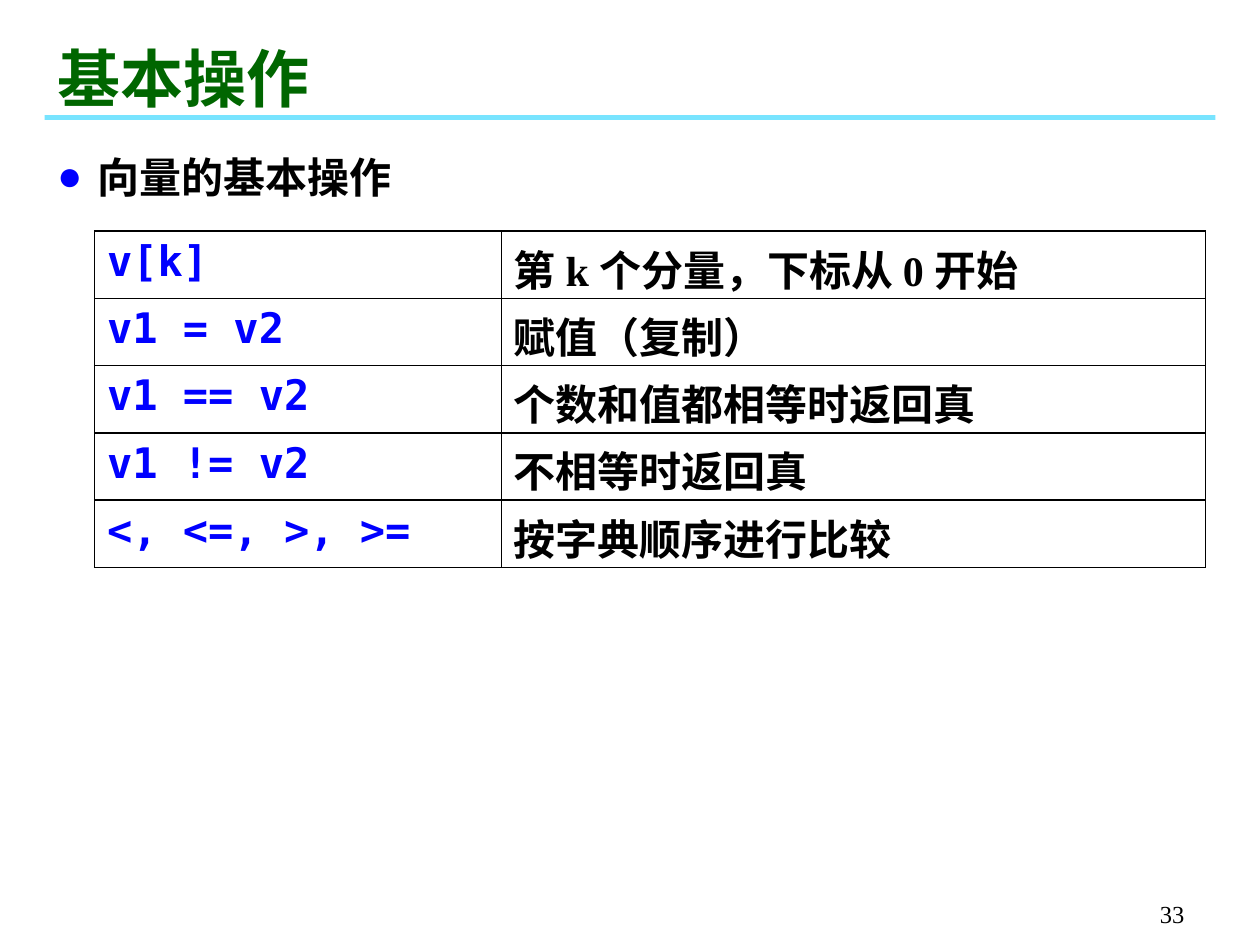
"""Build the slide on basic vector operations."""
import pptx
import pptx.util
import pptx.dml.color
import pptx.enum.text
import pptx.enum.shapes
import pptx.oxml
import pptx.oxml.ns

Pt = pptx.util.Pt
RGB = pptx.dml.color.RGBColor
Anchor = pptx.enum.text.MSO_ANCHOR
Align = pptx.enum.text.PP_ALIGN
NS = pptx.oxml.ns.nsdecls("a")
BLACK = RGB(0, 0, 0)
BLUE = RGB(0, 0, 255)
GREEN = RGB(0, 0x66, 0)
CYAN = RGB(0, 0xCC, 255)
SERIF = "Times New Roman"
MONO = "DejaVu Sans Mono"


def style(para, size, name, color, bold=True):
    para.font.size = Pt(size)
    para.font.name = name
    para.font.color.rgb = color
    para.font.bold = bold


def place(shape, left, top, width, height, anchor):
    shape.left, shape.top = Pt(left), Pt(top)
    shape.width, shape.height = Pt(width), Pt(height)
    frame = shape.text_frame
    frame.auto_size = pptx.enum.text.MSO_AUTO_SIZE.NONE
    frame.word_wrap = True
    frame.vertical_anchor = anchor
    return frame.paragraphs[0]


deck = pptx.Presentation()
deck.slide_width, deck.slide_height = Pt(720), Pt(540)
slide = deck.slides.add_slide(deck.slide_layouts[1])
shapes = slide.shapes

bar = shapes.add_shape(pptx.enum.shapes.MSO_SHAPE.RECTANGLE,
                       Pt(25.5), Pt(65.8), Pt(669), Pt(2.8))
bar.shadow.inherit = False
bar.fill.solid()
bar.fill.fore_color.rgb = CYAN
bar.line.fill.background()
tint = bar.fill._xPr.find(".//" + pptx.oxml.ns.qn("a:srgbClr"))
tint.append(pptx.oxml.parse_xml(f'<a:alpha {NS} val="53000"/>'))

title = place(shapes.title, 25.5, 18.8, 564, 50.4, Anchor.BOTTOM)
title.text = "基本操作"
title.alignment = Align.LEFT
style(title, 36, SERIF, GREEN)

point = place(slide.placeholders[1], 25.5, 77, 658, 44.6, Anchor.MIDDLE)
point.text = "向量的基本操作"
point.line_spacing = 1.1
point.space_before = Pt(0)
props = point._p.get_or_add_pPr()
props.set("marL", str(Pt(23)))
props.set("indent", str(-Pt(23)))
for mark in ('<a:buClr {}><a:srgbClr val="0000FF"/></a:buClr>',
             '<a:buFont {} typeface="Times New Roman"/>',
             '<a:buChar {} char="●"/>'):
    props.append(pptx.oxml.parse_xml(mark.format(NS)))
style(point, 24, SERIF, BLACK)

rows = [
    ("v[k]", "第 k 个分量，下标从 0 开始"),
    ("v1 = v2", "赋值（复制）"),
    ("v1 == v2", "个数和值都相等时返回真"),
    ("v1 != v2", "不相等时返回真"),
    ("<, <=, >, >=", "按字典顺序进行比较"),
]
high = 36
table = shapes.add_table(len(rows), 2, Pt(54), Pt(132), Pt(635),
                         Pt(high * len(rows))).table
table.first_row = table.horz_banding = False
table.columns[0].width, table.columns[1].width = Pt(232.5), Pt(402.5)
for r, row in enumerate(rows):
    table.rows[r].height = Pt(high)
    for c, text in enumerate(row):
        cell = table.cell(r, c)
        cell.margin_bottom = Pt(0)
        para = cell.text_frame.paragraphs[0]
        para.text = text
        style(para, 24, (MONO, SERIF)[c], (BLUE, BLACK)[c])
        edges = cell._tc.get_or_add_tcPr()
        for side in ("lnL", "lnR", "lnT", "lnB"):
            edges.append(pptx.oxml.parse_xml(
                f'<a:{side} {NS} w="{Pt(1)}"><a:solidFill>'
                f'<a:srgbClr val="{BLACK}"/></a:solidFill></a:{side}>'))
        cell.fill.background()

box = shapes.add_textbox(0, 0, 0, 0)
page = place(box, 534, 498, 150, 36, Anchor.BOTTOM)
page.text = "33"
page.alignment = Align.RIGHT
style(page, 14, SERIF, BLACK, False)

deck.save("out.pptx")
